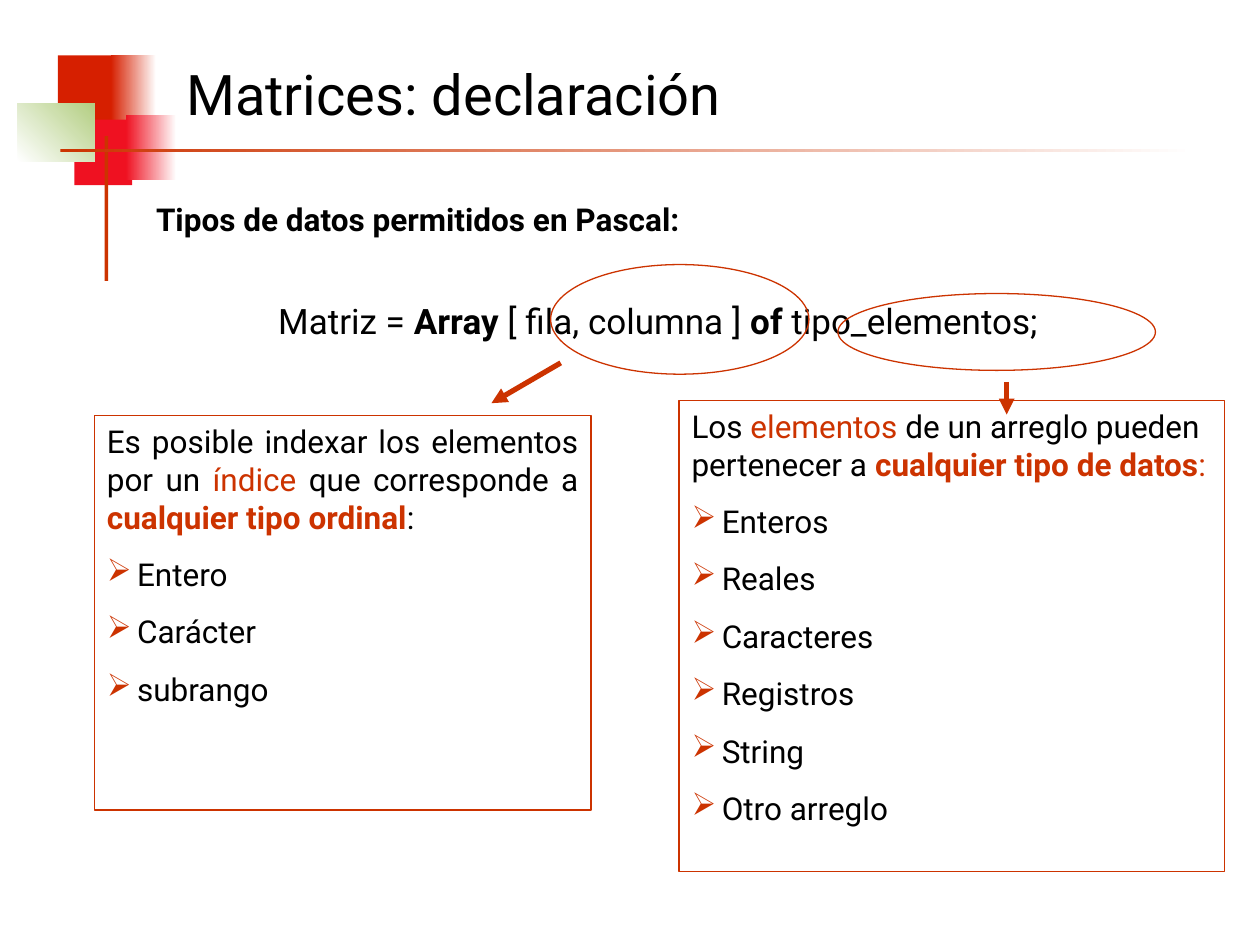
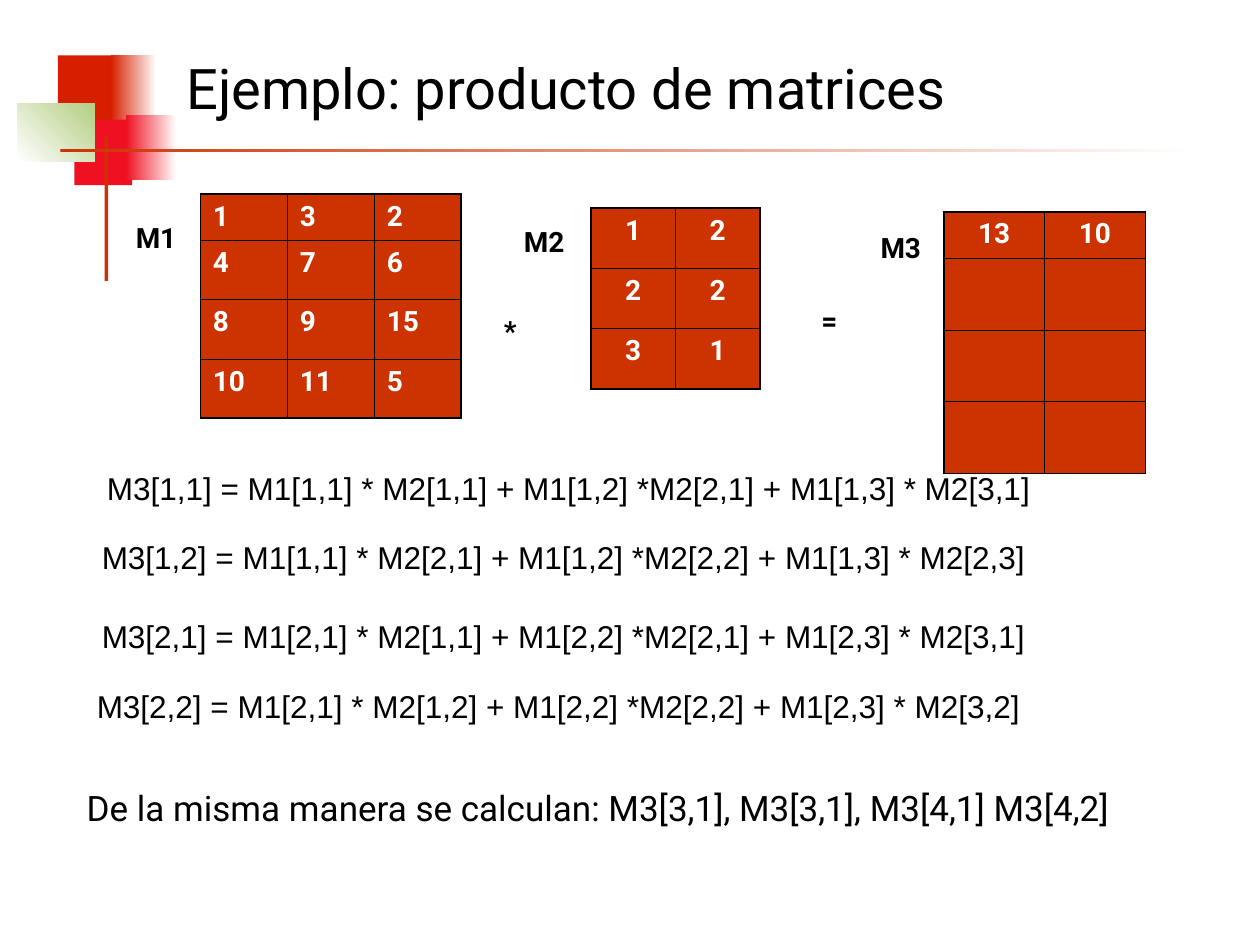
from lxml import etree
from pptx import Presentation
from pptx import util as u
from pptx.dml.color import RGBColor
from pptx.enum import shapes, text
from pptx.oxml.ns import qn

PX = 9144  # EMU per px, 100 px to the inch
BLACK, WHITE, RUST = "000000", "FFFFFF", "CC3300"
RED, CRIMSON, GREEN = "D61F00", "EF1121", "B3CE82"
BODY_FONT, FORMULA_FONT = "Roboto", "Arial"
LEFT, CENTER, JUSTIFY = text.PP_ALIGN.LEFT, text.PP_ALIGN.CENTER, text.PP_ALIGN.JUSTIFY
RECTANGLE, OVAL = shapes.MSO_SHAPE.RECTANGLE, shapes.MSO_SHAPE.OVAL


def px(*lengths):
    return [length * PX for length in lengths]


def rgb(colour):
    return RGBColor.from_string(colour)


def add_child(parent, tag, **attributes):
    return etree.SubElement(parent, qn(tag), attributes)


# Text
def style(para, size, bold=False, colour=BLACK, font=BODY_FONT, align=LEFT):
    para.alignment = align
    para.font.size, para.font.bold, para.font.name = u.Pt(size), bold, font
    para.font.color.rgb = rgb(colour)


def add_spans(para, spans):
    """Each span is (words, colour, bold)."""
    for words, colour, bold in spans:
        span = para.add_run()
        span.text = words
        span.font.color.rgb = rgb(colour)
        span.font.bold = bold


def add_text(page, box, words, size, **look):
    """words is a string or a list of spans."""
    frame = page.shapes.add_textbox(*px(*box)).text_frame
    frame.word_wrap = True
    para = frame.paragraphs[0]
    style(para, size, **look)
    if isinstance(words, str):
        para.add_run().text = words
    else:
        add_spans(para, words)
    return frame


def add_bullet(frame, words, align):
    para = frame.add_paragraph()
    para.space_before = u.Pt(11.2)
    props = para._p.get_or_add_pPr()
    props.set("marL", str(24 * PX))
    props.set("indent", str(-24 * PX))
    add_child(add_child(props, "a:buClr"), "a:srgbClr", val=RUST)
    add_child(props, "a:buChar", char="➢")
    style(para, 18, align=align)
    para.add_run().text = words


# Shapes
def add_block(page, box, colour, fade_to=None, angle=0):
    block = page.shapes.add_shape(RECTANGLE, *px(*box))
    block.shadow.inherit = False
    block.line.fill.background()
    if fade_to is None:
        block.fill.solid()
        block.fill.fore_color.rgb = rgb(colour)
        return
    block.fill.gradient()
    block.fill.gradient_angle = angle
    for stop, shade in zip(block.fill.gradient_stops, (colour, fade_to)):
        stop.color.rgb = rgb(shade)


def add_outline(page, kind, box):
    outline = page.shapes.add_shape(kind, *px(*box))
    outline.shadow.inherit = False
    outline.fill.background()
    outline.line.color.rgb = rgb(RUST)
    outline.line.width = u.Pt(0.75)
    return outline


def add_arrow(page, start, end):
    arrow = page.shapes.add_connector(shapes.MSO_CONNECTOR.STRAIGHT, *px(*start, *end))
    arrow.line.color.rgb = rgb(RUST)
    arrow.line.width = u.Pt(3)
    add_child(arrow.line._get_or_add_ln(), "a:tailEnd", type="triangle")
    add_child(arrow._element.spPr, "a:effectLst")


# Shared frame: corner blocks, rules and title
def add_page(deck, title, title_top):
    page = deck.slides.add_slide(deck.slide_layouts[6])
    add_block(page, (46, 44, 48, 52), RED)
    add_block(page, (88, 44, 36, 52), RED, WHITE)
    add_block(page, (59, 95, 46, 52), CRIMSON)
    add_block(page, (100, 91, 40, 52), CRIMSON, WHITE)
    add_block(page, (14, 82, 61, 46), WHITE, GREEN, angle=45)
    add_block(page, (83, 108, 3, 115), RUST)
    add_block(page, (48, 118, 900, 3), RUST, WHITE)
    frame = add_text(page, (138, title_top, 817, 92), title, 32)
    frame.vertical_anchor = text.MSO_ANCHOR.MIDDLE
    return page


# Boxed explanation with a bullet list
def add_note(page, box, intro, items, align):
    frame = add_outline(page, RECTANGLE, box).text_frame
    frame.word_wrap = True
    frame.vertical_anchor = text.MSO_ANCHOR.TOP
    style(frame.paragraphs[0], 18, align=align)
    add_spans(frame.paragraphs[0], intro)
    for item in items:
        add_bullet(frame, item, align)


# Matrix drawn as a table
def set_borders(cell, outer_sides):
    props = cell._tc.get_or_add_tcPr()
    for side in "LRTB":
        width = 1.08 if side in outer_sides else 0.45
        line = add_child(props, f"a:ln{side}", w=str(u.Pt(width)))
        add_child(add_child(line, "a:solidFill"), "a:srgbClr", val=BLACK)


def add_matrix(page, left, top, column_width, row_heights, values, align):
    rows, columns = len(values), len(values[0])
    frame = page.shapes.add_table(
        rows, columns, *px(left, top, column_width * columns, sum(row_heights)))
    table = frame.table
    table.first_row = table.horz_banding = False
    for column in table.columns:
        column.width = column_width * PX
    for r, (height, numbers) in enumerate(zip(row_heights, values)):
        table.rows[r].height = height * PX
        for c, number in enumerate(numbers):
            cell = table.cell(r, c)
            edges = {"L": c == 0, "R": c == columns - 1, "T": r == 0, "B": r == rows - 1}
            set_borders(cell, [side for side, outer in edges.items() if outer])
            cell.fill.solid()
            cell.fill.fore_color.rgb = rgb(RUST)
            para = cell.text_frame.paragraphs[0]
            style(para, 16, bold=True, colour=WHITE, align=align)
            if number:
                para.add_run().text = number


def build_declaration(deck):
    page = add_page(deck, "Matrices: declaración", 28)
    add_text(page, (114, 154, 792, 40), "Tipos de datos permitidos en Pascal:", 18, bold=True)
    add_text(page, (211, 233, 714, 44), [
        ("Matriz =", BLACK, False), (" Array ", BLACK, True),
        ("[ fila, columna ] ", BLACK, False), ("of ", BLACK, True),
        ("tipo_elementos;", BLACK, False)], 20)

    # Index types
    add_note(page, (75, 330, 394, 313), [
        ("Es posible indexar los elementos por un ", BLACK, False),
        ("índice", RUST, False), (" que corresponde a ", BLACK, False),
        ("cualquier tipo ordinal", RUST, True), (":", BLACK, False)],
        ["Entero", "Carácter", "subrango"], JUSTIFY)
    add_outline(page, OVAL, (437, 210, 205, 87))
    add_arrow(page, (445, 288), (390, 320))

    # Element types
    add_note(page, (539, 318, 433, 374), [
        ("Los ", BLACK, False), ("elementos", RUST, False),
        (" de un arreglo pueden pertenecer a ", BLACK, False),
        ("cualquier tipo de datos", RUST, True), (":", RUST, False)],
        ["Enteros", "Reales", "Caracteres", "Registros", "String", "Otro arreglo"], LEFT)
    add_outline(page, OVAL, (665, 233, 252, 61))
    add_arrow(page, (799, 303), (799, 329))


def build_product(deck):
    page = add_page(deck, "Ejemplo: producto de matrices", 23)

    # Matrices
    add_matrix(page, 159, 154, 69, [37, 47, 47, 47],
               [["1", "3", "2"], ["4", "7", "6"], ["8", "9", "15"], ["10", "11", "5"]], LEFT)
    add_matrix(page, 469, 165, 67, [48] * 3, [["1", "2"], ["2", "2"], ["3", "1"]], CENTER)
    add_matrix(page, 749, 168, 80, [37, 57, 57, 57],
               [["13", "10"]] + [["", ""]] * 3, CENTER)

    # Names and operators
    for words, left, top, width in [("M1", 98, 170, 63), ("M2", 406, 173, 63),
                                    ("M3", 689, 178, 63), ("*", 390, 244, 47),
                                    ("=", 642, 236, 47)]:
        add_text(page, (left, top, width, 37), words, 16, bold=True)

    # Formulas
    for left, top, formula in [
            (75, 367, "M3[1,1] = M1[1,1] * M2[1,1] + M1[1,2] *M2[2,1] + M1[1,3] * M2[3,1]"),
            (71, 422, "M3[1,2] = M1[1,1] * M2[2,1] + M1[1,2] *M2[2,2] + M1[1,3] * M2[2,3]"),
            (71, 485, "M3[2,1] = M1[2,1] * M2[1,1] + M1[2,2] *M2[2,1] + M1[2,3] * M2[3,1]"),
            (67, 540, "M3[2,2] = M1[2,1] * M2[1,2] + M1[2,2] *M2[2,2] + M1[2,3] * M2[3,2]")]:
        add_text(page, (left, top, 807, 40), formula, 18, font=FORMULA_FONT)
    add_text(page, (59, 619, 906, 44),
             "De la misma manera se calculan: M3[3,1], M3[3,1], M3[4,1] M3[4,2]", 20)


def main():
    deck = Presentation()
    deck.slide_width, deck.slide_height = px(1000, 750)
    build_declaration(deck)
    build_product(deck)
    deck.save("out.pptx")


if __name__ == "__main__":
    main()
